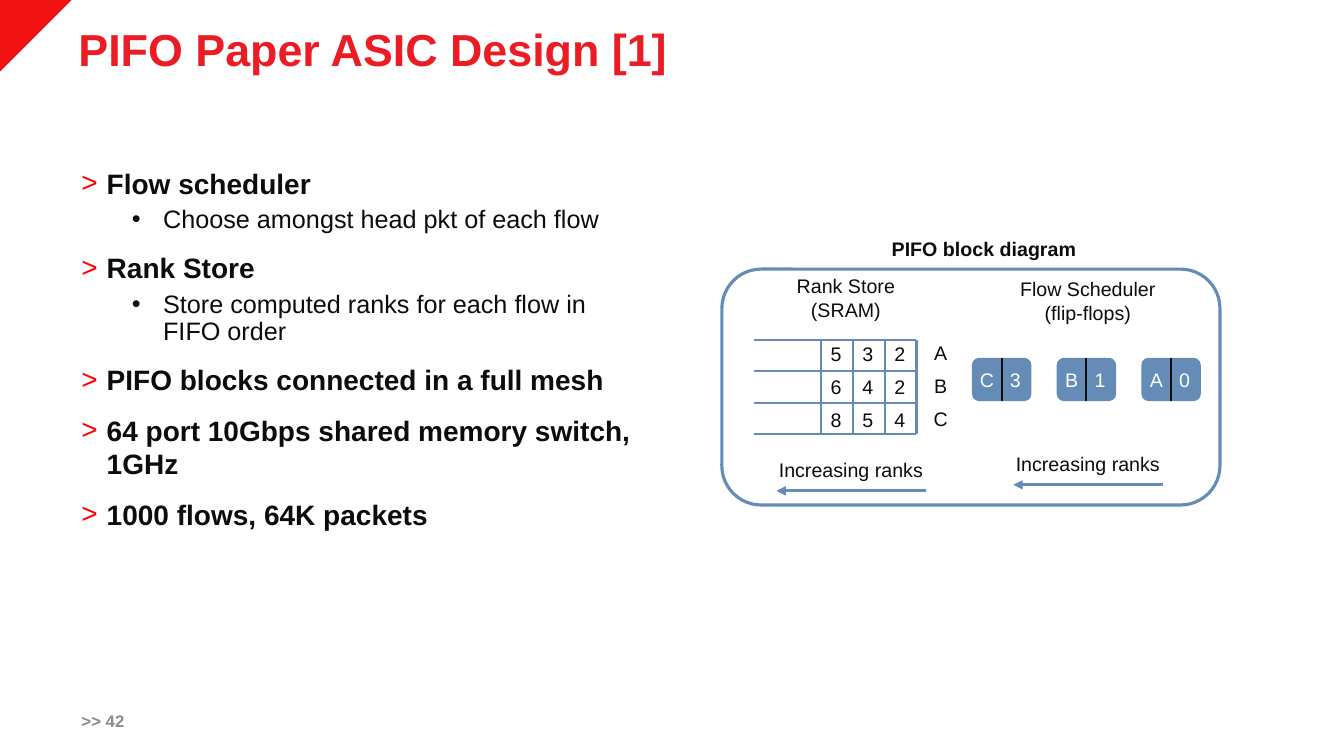
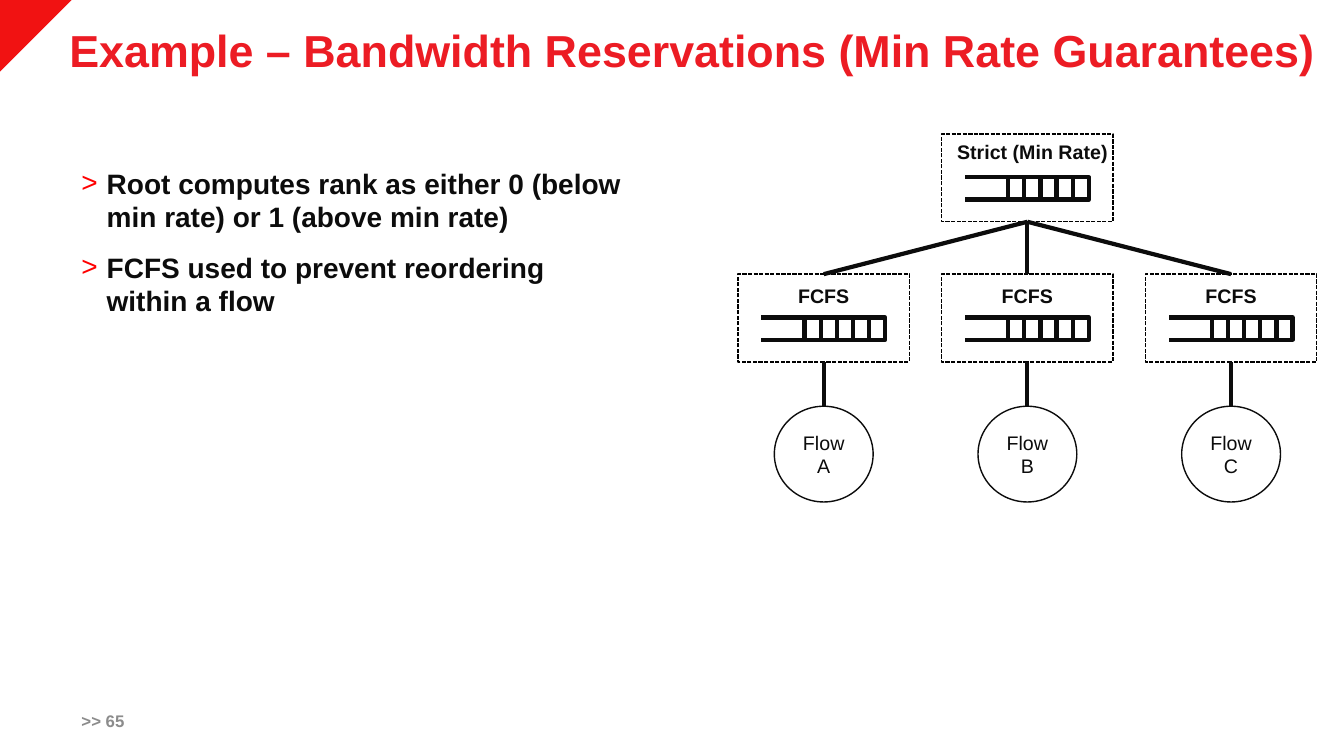
from lxml import etree
from pptx import Presentation, util as u
from pptx.dml import color as dc
from pptx.enum import dml, shapes as es, text as et
from pptx.oxml import ns

RED, CORNER, MARK = "EC1C24", "F11212", "FF0000"
INK, GRAY, BLUE, WHITE, BLACK = "0C0C0C", "8C8C8C", "648CB7", "FFFFFF", "000000"
FONT = "Arial"
SMALL = dict(size=14, hue=INK)
TOP = dict(mark="˃", left=0.25, hang=-0.25, level=0, gap=12, space=1,
           font=dict(size=20, hue=INK, bold=True))
SUB = dict(mark="•", left=0.81, hang=-0.31, level=1, gap=5, space=0.9,
           font=dict(size=18, hue=INK))


def paint(fill, hue):
    """Fill with a hex colour, or clear the fill when hue is None."""
    if hue is None:
        fill.background()
    else:
        fill.solid()
        fill.fore_color.rgb = dc.RGBColor.from_string(hue)


def assign(item, **values):
    for name, value in values.items():
        setattr(item, name, value)


def inches(*values):
    return [u.Inches(v) for v in values]


def write(par, words, size, hue, bold=False):
    run = par.add_run()
    run.text = words
    assign(run.font, name=FONT, size=u.Pt(size), bold=bold)
    paint(run.font.fill, hue)


def text_box(parts, box, lines=(), anchor=et.MSO_ANCHOR.TOP,
             align=et.PP_ALIGN.LEFT, **font):
    frame = parts.add_textbox(*inches(*box)).text_frame
    assign(frame, word_wrap=True, vertical_anchor=anchor)
    for i, words in enumerate(lines):
        par = frame.add_paragraph() if i else frame.paragraphs[0]
        par.alignment = align
        write(par, words, **font)
    return frame


def label(parts, mid, top, *lines, wide=1.8, **font):
    """Place short text centred on mid."""
    text_box(parts, (mid - wide / 2, top, wide, 0.34 * len(lines)), lines,
             align=et.PP_ALIGN.CENTER, **{**SMALL, **font})


def shape(parts, kind, box, fill=None, line=None, width=1, dash=None):
    item = parts.add_shape(kind, *inches(*box))
    item.shadow.inherit = False
    paint(item.fill, fill)
    paint(item.line.fill, line)
    if line:
        assign(item.line, width=u.Pt(width), dash_style=dash)
    return item


def rule(parts, x1, y1, x2, y2, hue, width, arrow=False):
    line = parts.add_connector(es.MSO_CONNECTOR.STRAIGHT, *inches(x1, y1, x2, y2))
    paint(line.line.fill, hue)
    line.line.width = u.Pt(width)
    if arrow:
        etree.SubElement(line.line._get_or_add_ln(), ns.qn("a:tailEnd"), type="triangle")
    etree.SubElement(line._element.spPr, ns.qn("a:effectLst"))
    return line


def join(parts, upper, lower):
    """Link the bottom of one shape to the top of the next."""
    line = rule(parts, 0, 0, 1, 1, INK, 3)
    line.begin_connect(upper, 2)
    line.end_connect(lower, 0)


def bullet(par, look, first):
    props = par._p.get_or_add_pPr()
    props.set("marL", str(u.Inches(look["left"])))
    props.set("indent", str(u.Inches(look["hang"])))
    if look is TOP:
        tint = etree.SubElement(props, ns.qn("a:buClr"))
        etree.SubElement(tint, ns.qn("a:srgbClr"), val=MARK)
    etree.SubElement(props, ns.qn("a:buFont"), typeface=FONT)
    etree.SubElement(props, ns.qn("a:buChar"), char=look["mark"])
    assign(par, level=look["level"], line_spacing=look["space"],
           space_before=u.Pt(0 if first else look["gap"]))


def body(parts, box, items):
    frame = text_box(parts, box)
    for i, (look, words) in enumerate(items):
        par = frame.add_paragraph() if i else frame.paragraphs[0]
        bullet(par, look, not i)
        write(par, words, **look["font"])


def base(deck, title, box, number):
    """Add a slide with its corner, title and page number."""
    parts = deck.slides.add_slide(deck.slide_layouts[6]).shapes
    side = u.Inches(0.71)
    build = parts.build_freeform(0, 0)
    build.add_line_segments([(side, 0), (0, side)], close=True)
    corner = build.convert_to_shape()
    corner.shadow.inherit = False
    paint(corner.fill, CORNER)
    paint(corner.line.fill, None)
    frame = text_box(parts, box, [title], size=32, hue=RED, bold=True)
    frame.paragraphs[0].line_spacing = 0.9
    text_box(parts, (0.71, 6.95, 0.99, 0.4), [f">> {number}"],
             anchor=et.MSO_ANCHOR.MIDDLE, size=12, hue=GRAY, bold=True)
    return parts


def store(parts, x, y):
    """Draw the rank rows, open at the left, with the flow names."""
    rows = [("A", "532"), ("B", "642"), ("C", "854")]
    lead, wide, tall = 0.66, 0.95, 0.94
    cell, row = wide / 3, tall / 3
    right = x + lead + wide
    for i in range(4):
        across, down = x + lead + i * cell, y + i * row
        rule(parts, across, y, across, y + tall, BLUE, 1.5)
        rule(parts, x, down, right, down, BLUE, 1.5)
    for j, (flow, ranks) in enumerate(rows):
        top = y - 0.03 + j * 0.33
        for i, rank in enumerate(ranks):
            label(parts, x + lead + (i + 0.48) * cell, top, rank)
        label(parts, right + 0.24, top - 0.01, flow)


def pill(parts, x, y, flow, rank):
    wide, tall = 0.59, 0.43
    shape(parts, es.MSO_SHAPE.ROUNDED_RECTANGLE, (x, y, wide, tall), BLUE)
    rule(parts, x + wide / 2, y, x + wide / 2, y + tall, INK, 1.5)
    label(parts, x + 0.15, y + 0.05, flow, hue=WHITE)
    label(parts, x + 0.43, y + 0.05, rank, hue=WHITE)


def trend(parts, x, y):
    label(parts, x + 0.74, y, "Increasing ranks")
    rule(parts, x + 1.48, y + 0.38, x, y + 0.38, BLUE, 2.25, arrow=True)


def block(slide, x, y):
    parts = slide.add_group_shape().shapes
    shape(parts, es.MSO_SHAPE.ROUNDED_RECTANGLE, (x, y, 4.94, 2.34), None, BLUE, 2.25)
    label(parts, x + 2.6, y - 0.37, "PIFO block diagram", wide=2.6, bold=True)
    label(parts, x + 1.23, y, "Rank Store", "(SRAM)")
    label(parts, x + 3.63, y + 0.03, "Flow Scheduler", "(flip-flops)")
    store(parts, x + 0.32, y + 0.7)
    for i, (flow, rank) in enumerate(["C3", "B1", "A0"]):
        pill(parts, x + 2.48 + i * 0.84, y + 0.88, flow, rank)
    trend(parts, x + 0.54, y + 1.82)
    trend(parts, x + 2.89, y + 1.76)


def queue(slide, x, y):
    parts = slide.add_group_shape().shapes
    lead, cell, tall = 0.43, 0.16, 0.22
    for i in range(5):
        shape(parts, es.MSO_SHAPE.RECTANGLE, (x + lead + i * cell, y, cell, tall),
              None, INK, 3)
    for down in (y, y + tall):
        rule(parts, x + lead, down, x, down, INK, 3)


def node(parts, x, y, name, dx=0, dy=0.05):
    wide = 1.7
    box = shape(parts, es.MSO_SHAPE.RECTANGLE, (x, y, wide, 0.87), None, BLACK, 1,
                dml.MSO_LINE.SQUARE_DOT)
    queue(parts, x + 0.23, y + 0.43)
    label(parts, x + wide / 2 + dx, y + dy, name, wide=2, bold=True)
    return box


def flow_disc(parts, x, y, name):
    disc = shape(parts, es.MSO_SHAPE.OVAL, (x, y, 0.98, 0.95), None, INK)
    frame = disc.text_frame
    assign(frame, word_wrap=True, vertical_anchor=et.MSO_ANCHOR.MIDDLE)
    frame.paragraphs[0].alignment = et.PP_ALIGN.CENTER
    write(frame.paragraphs[0], name, **SMALL)
    return disc


def tree(parts, x, y):
    step = 2.02
    root = node(parts, x + step, y, "Strict (Min Rate)", 0.05, 0.01)
    for i, flow in enumerate("ABC"):
        left = x + i * step
        leaf = node(parts, left, y + 1.39, "FCFS")
        disc = flow_disc(parts, left + 0.36, y + 2.7, f"Flow {flow}")
        join(parts, root, leaf)
        join(parts, leaf, disc)


def main():
    deck = Presentation()
    assign(deck, slide_width=u.Inches(13.33), slide_height=u.Inches(7.5))

    design = base(deck, "PIFO Paper ASIC Design [1]", (0.68, 0.23, 11.53, 0.55), 42)
    body(design, (0.71, 1.6, 5.65, 5.2), [
        (TOP, "Flow scheduler"),
        (SUB, "Choose amongst head pkt of each flow"),
        (TOP, "Rank Store"),
        (SUB, "Store computed ranks for each flow in FIFO order"),
        (TOP, "PIFO blocks connected in a full mesh"),
        (TOP, "64 port 10Gbps shared memory switch, 1GHz"),
        (TOP, "1000 flows, 64K packets"),
    ])
    block(design, 7.16, 2.67)

    rates = base(deck, "Example – Bandwidth Reservations (Min Rate Guarantees)",
                 (0.59, 0.24, 12.7, 0.55), 65)
    body(rates, (0.71, 1.6, 5.57, 5.2), [
        (TOP, "Root computes rank as either 0 (below min rate) or 1 (above min rate)"),
        (TOP, "FCFS used to prevent reordering within a flow"),
    ])
    tree(rates, 7.32, 1.33)

    deck.save("out.pptx")


if __name__ == "__main__":
    main()
